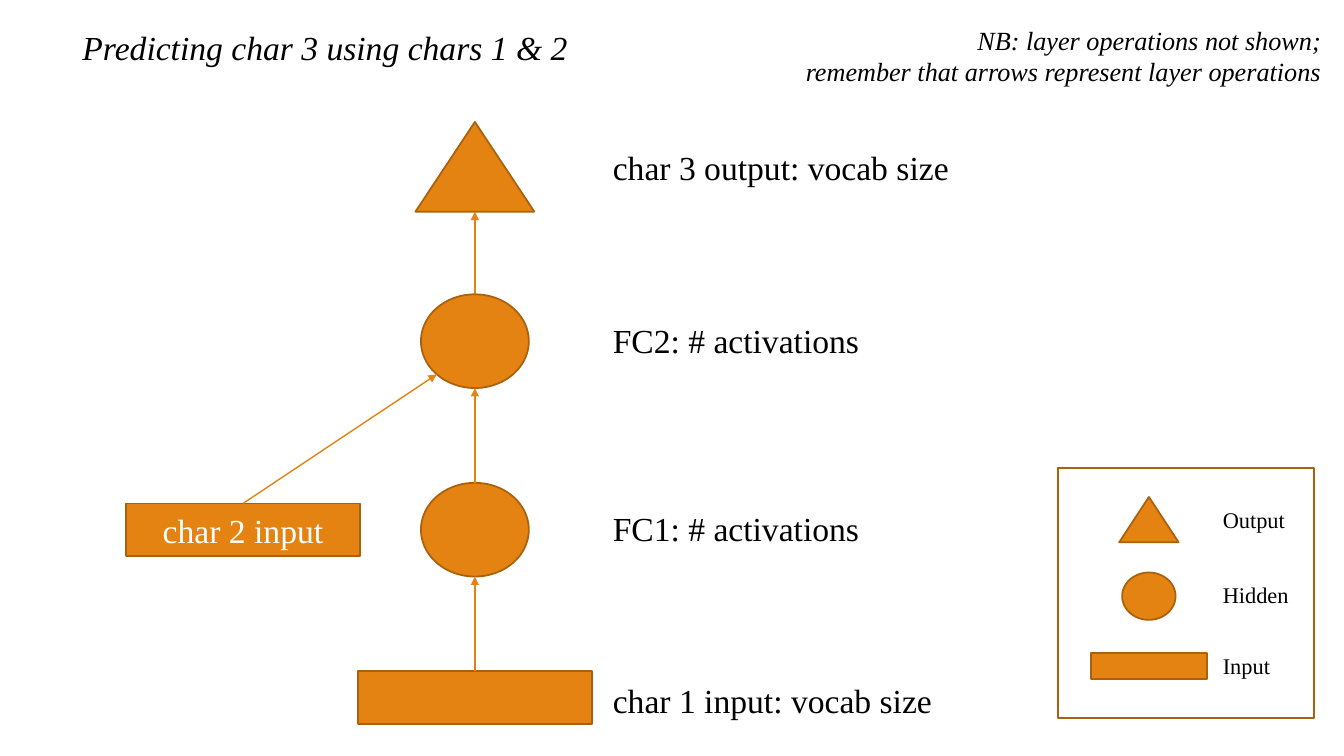
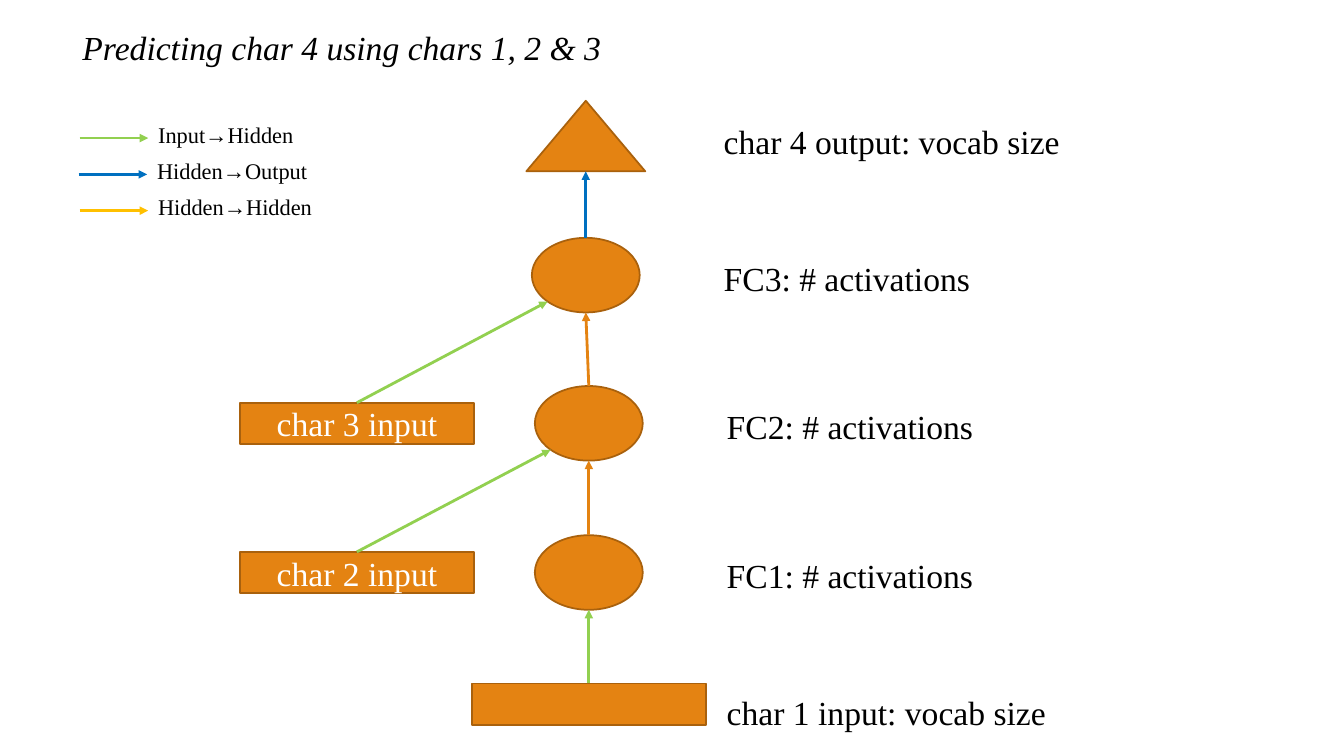
from lxml import etree
from pptx import Presentation
from pptx import util as u
from pptx.dml.color import RGBColor
from pptx.enum import shapes, text
from pptx.oxml.ns import qn

PX = 9144  # EMU per px: 100 px to the inch
FONT = "Times New Roman"
ORANGE, BROWN = "E48312", "A9610D"
GREEN, BLUE, YELLOW = "92D050", "0070C0", "FFC000"
BLACK, WHITE = "000000", "FFFFFF"
RECT = shapes.MSO_SHAPE.RECTANGLE
OVAL = shapes.MSO_SHAPE.OVAL
TRIANGLE = shapes.MSO_SHAPE.ISOSCELES_TRIANGLE
CENTER, LEFT, RIGHT = text.PP_ALIGN.CENTER, text.PP_ALIGN.LEFT, text.PP_ALIGN.RIGHT

color = RGBColor.from_string


def draw(slide, kind, box, words="", size=24, italic=False, align=LEFT, fill=ORANGE):
    """Add a preset shape, or a plain text box when kind is None."""
    left, top, width, height = [round(length * PX) for length in box]
    if kind is None:
        shape = slide.shapes.add_textbox(left, top, width, height)
    else:
        shape = slide.shapes.add_shape(kind, left, top, width, height)
        shape.shadow.inherit = False
        shape.line.color.rgb = color(BROWN)
        shape.line.width = u.Pt(1.25)
        if fill:
            shape.fill.solid()
            shape.fill.fore_color.rgb = color(fill)
        else:
            shape.fill.background()
    if words:
        shape.text_frame.word_wrap = True
        shape.text_frame.text = words
        paragraph = shape.text_frame.paragraphs[0]
        paragraph.alignment = align
        paragraph.font.name = FONT
        paragraph.font.size = u.Pt(size)
        paragraph.font.italic = italic
        paragraph.font.color.rgb = color(WHITE if kind else BLACK)
    return shape


def arrow(slide, start, end, stroke, width):
    ends = [round(length * PX) for length in (*start, *end)]
    connector = slide.shapes.add_connector(shapes.MSO_CONNECTOR.STRAIGHT, *ends)
    connector.line.color.rgb = color(stroke)
    connector.line.width = u.Pt(width)
    head = etree.SubElement(connector.line._get_or_add_ln(), qn("a:tailEnd"))
    head.set("type", "triangle")
    etree.SubElement(connector._element.spPr, qn("a:effectLst"))
    return connector


presentation = Presentation()
presentation.slide_width = 1333 * PX
presentation.slide_height = 750 * PX

# Each layer is (center, top); hidden layers run from FC1 upwards
networks = [
    dict(title="Predicting char 3 using chars 1 & 2",
         input=(471, 666), hidden=[(471, 479), (471, 292)], output=(471, 121),
         input_height=52, oval_height=93, triangle_height=89, label_drop=20,
         input_stroke=ORANGE, output_stroke=ORANGE, stroke_width=1),
    dict(title="Predicting char 4 using chars 1, 2 & 3",
         input=(584, 678), hidden=[(584, 531), (584, 383), (581, 236)], output=(581, 100),
         input_height=41, oval_height=74, triangle_height=70, label_drop=15,
         input_stroke=GREEN, output_stroke=BLUE, stroke_width=2),
]
INPUT_WIDTH, OVAL_WIDTH, TRIANGLE_WIDTH = 232, 107, 118
LABEL_OFFSET, SIDE_OFFSET = 127, 346
DIAGONAL = 0.5 ** 0.5

slides = []
for network in networks:
    slide = presentation.slides.add_slide(presentation.slide_layouts[6])
    slides.append(slide)
    draw(slide, None, (72, 22, 560, 50), network["title"], italic=True)

    hidden = network["hidden"]
    input_height, oval_height = network["input_height"], network["oval_height"]
    drop, stroke_width = network["label_drop"], network["stroke_width"]
    layers = [(RECT, *network["input"], INPUT_WIDTH, input_height,
               "char 1 input: vocab size", 4, None)]
    for number, (center, top) in enumerate(hidden, 1):
        stroke = network["input_stroke"] if number == 1 else ORANGE
        layers.append((OVAL, center, top, OVAL_WIDTH, oval_height,
                       f"FC{number}: # activations", drop, stroke))
    layers.append((TRIANGLE, *network["output"], TRIANGLE_WIDTH, network["triangle_height"],
                   f"char {len(hidden) + 1} output: vocab size", drop,
                   network["output_stroke"]))

    below = None
    for kind, center, top, width, height, label, label_drop, stroke in layers:
        node = draw(slide, kind, (center - width / 2, top, width, height))
        draw(slide, None, (center + LABEL_OFFSET, top + label_drop, 370, 50), label)
        if below is not None:
            bottom = (center, top + height)
            arrow(slide, bottom, bottom, stroke, stroke_width).begin_connect(below, 0)
        below = node

    # Every later character enters beside one hidden layer and feeds the next
    for number, ((center, top), (next_center, next_top)) in enumerate(zip(hidden, hidden[1:]), 2):
        side_top = top + (oval_height - input_height) / 2
        side_input = draw(slide, RECT, (center - SIDE_OFFSET, side_top, INPUT_WIDTH, input_height),
                          f"char {number} input", align=CENTER)
        target = (next_center - OVAL_WIDTH / 2 * DIAGONAL,
                  next_top + oval_height / 2 * (1 + DIAGONAL))
        side_arrow = arrow(slide, target, target, network["input_stroke"], stroke_width)
        side_arrow.begin_connect(side_input, 0)

first, second = slides

draw(first, None, (755, 19, 565, 73),
     "NB: layer operations not shown;\vremember that arrows represent layer operations",
     size=18.7, italic=True, align=RIGHT)
draw(first, RECT, (1049, 464, 254, 248), fill=None)
for kind, box, name, name_top in [
    (TRIANGLE, (1110, 493, 59, 45), "Output", 497),
    (OVAL, (1113, 568, 53, 47), "Hidden", 572),
    (RECT, (1082, 648, 115, 26), "Input", 642),
]:
    draw(first, kind, box)
    draw(first, None, (1203, name_top, 100, 37), name, size=16)

for row, (name, stroke, left) in enumerate([
    ("Input→Hidden", GREEN, 79),
    ("Hidden→Output", BLUE, 78),
    ("Hidden→Hidden", YELLOW, 79),
]):
    top = 115 + 36 * row
    arrow(second, (left, top + 22), (left + 68, top + 22), stroke, 2)
    draw(second, None, (left + 68, top, 180, 37), name, size=16)

presentation.save("out.pptx")
